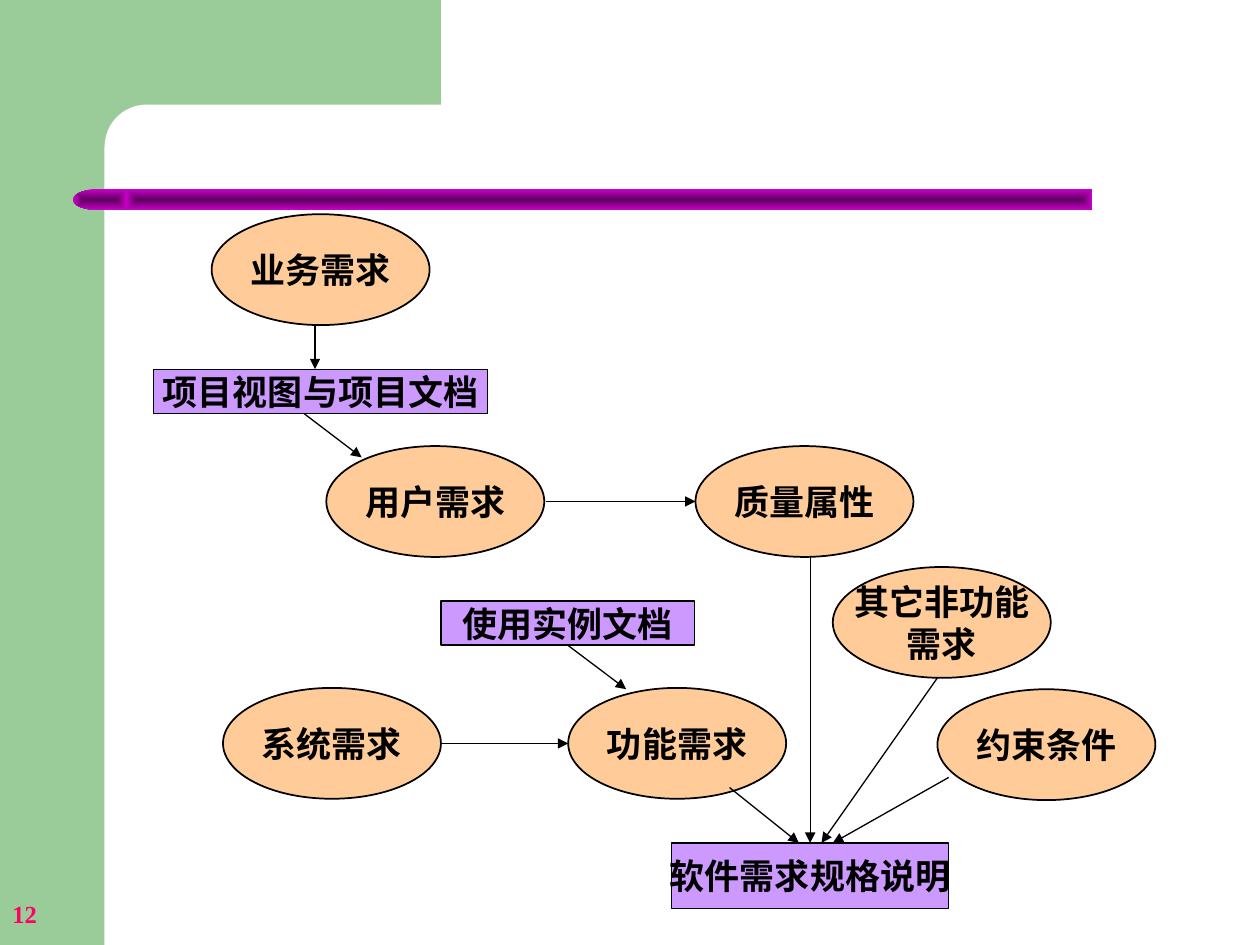
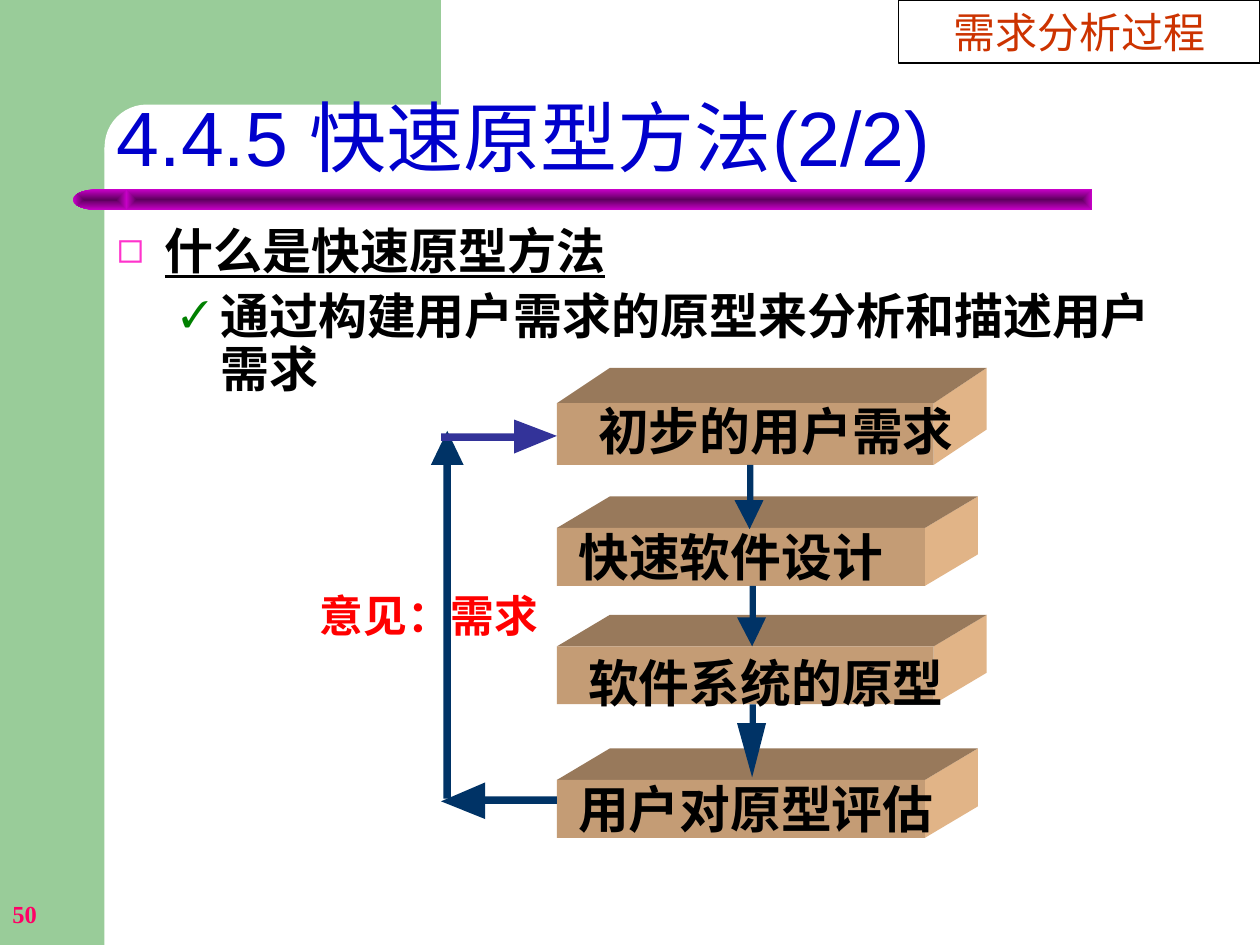
import pptx
import pptx.util
import pptx.dml.color
import pptx.enum.shapes
import pptx.enum.text
import pptx.oxml.ns
from lxml import etree

Inches = pptx.util.Inches
Pt = pptx.util.Pt
rgb = pptx.dml.color.RGBColor.from_string
qn = pptx.oxml.ns.qn
MSO = pptx.enum.shapes.MSO_SHAPE
ANCHOR = pptx.enum.text.MSO_ANCHOR
FIT = pptx.enum.text.MSO_AUTO_SIZE.SHAPE_TO_FIT_TEXT
CENTER = pptx.enum.text.PP_ALIGN.CENTER
STRAIGHT = pptx.enum.shapes.MSO_CONNECTOR.STRAIGHT

GREEN, WHITE, BLACK, NAVY, INDIGO = "99CC99", "FFFFFF", "000000", "003366", "333399"
CJK = "Noto Sans CJK SC"
NUMBER = {"name": "Times New Roman", "size": Pt(14), "bold": True, "color": "FF0066"}
TITLE = {"name": "Arial", "size": Pt(44), "color": "0000CC"}
BODY = {"name": "Times New Roman", "size": Pt(28), "bold": True, "color": BLACK}
TAG = {"name": "Times New Roman", "size": Pt(24), "color": "CC3300"}
NODE = {"name": "Arial", "size": Pt(20), "bold": True, "color": BLACK}
STEP = {"name": CJK, "size": Pt(29), "bold": True, "color": BLACK}
FEEDBACK = {"name": CJK, "size": Pt(25), "bold": True, "color": "FF0000"}


def add(s, kind, geom, fill=None, line=None):
    if kind == "text":
        return s.shapes.add_textbox(*map(Inches, geom))
    if kind == "polygon":
        points = [(Inches(x), Inches(y)) for x, y in geom]
        builder = s.shapes.build_freeform(*points[0], scale=1.0)
        builder.add_line_segments(points[1:], close=True)
        sp = builder.convert_to_shape()
    else:
        sp = s.shapes.add_shape(kind, *map(Inches, geom))
    sp.shadow.inherit = False
    if fill:
        sp.fill.solid()
        sp.fill.fore_color.rgb = rgb(fill)
    else:
        sp.fill.background()
    if line:
        sp.line.color.rgb = rgb(BLACK)
        sp.line.width = Pt(line)
    else:
        sp.line.fill.background()
    return sp


def write(sp, lines, fmt, align=None, anchor=ANCHOR.TOP, wrap=False, inset=None):
    tf = sp.text_frame
    tf.word_wrap = wrap
    tf.vertical_anchor = anchor
    if inset is not None:
        tf.margin_left = tf.margin_right = tf.margin_top = tf.margin_bottom = inset
    for i, line in enumerate(lines):
        p = tf.add_paragraph() if i else tf.paragraphs[0]
        p.alignment = align
        r = p.add_run()
        r.text = line
        for key, value in fmt.items():
            if key == "color":
                r.font.color.rgb = rgb(value)
            else:
                setattr(r.font, key, value)
        etree.SubElement(r.font._element, qn("a:ea")).set("typeface", CJK)
    return tf


prs = pptx.Presentation()
prs.slide_width, prs.slide_height = Inches(10), Inches(7.5)
slides = []
for number in ("12", "50"):
    s = prs.slides.add_slide(prs.slide_layouts[6])
    slides.append(s)
    add(s, MSO.RECTANGLE, (0, 0, 0.83, 7.5), GREEN)
    add(s, MSO.RECTANGLE, (0.75, 0, 2.75, 1.17), GREEN)
    sp = add(s, MSO.ROUNDED_RECTANGLE, (0.83, 0.83, 5.58, 0.67), WHITE)
    sp.adjustments[0] = 0.5
    bar = add(s, MSO.RECTANGLE, (1, 1.5, 7.67, 0.17), WHITE)
    cap = add(s, MSO.FLOWCHART_DELAY, (0.58, 1.5, 0.43, 0.17), WHITE)
    cap._element.spPr.xfrm.set("flipH", "1")
    for sp in (bar, cap):
        sp.fill.gradient()
        for stop, color in zip(sp.fill.gradient_stops, ("5E005E", "CC00CC")):
            stop.color.rgb = rgb(color)
        grad = sp._element.spPr.find(qn("a:gradFill"))
        lin = grad.find(qn("a:lin"))
        path = etree.Element(qn("a:path"), {"path": "rect"})
        etree.SubElement(path, qn("a:fillToRect"), dict.fromkeys("ltrb", "50000"))
        grad.replace(lin, path)
    write(add(s, "text", (0, 7, 2.08, 0.5)), [number], NUMBER, anchor=ANCHOR.MIDDLE)

s = slides[0]
for x, y, lines in [
    (1.68, 1.7, ["业务需求"]),
    (2.59, 3.54, ["用户需求"]),
    (5.52, 3.54, ["质量属性"]),
    (6.61, 4.5, ["其它非功能", "需求"]),
    (7.44, 5.47, ["约束条件"]),
    (1.77, 5.46, ["系统需求"]),
    (4.51, 5.46, ["功能需求"]),
]:
    sp = add(s, MSO.OVAL, (x, y, 1.73, 0.88), "FFCC99", 1)
    write(sp, lines, NODE, CENTER, ANCHOR.MIDDLE)

documents = {}
for name, box in [
    ("软件需求规格说明", (5.33, 6.69, 2.2, 0.52)),
    ("使用实例文档", (3.5, 4.77, 2.01, 0.35)),
    ("项目视图与项目文档", (1.22, 2.93, 2.65, 0.35)),
]:
    documents[name] = add(s, MSO.RECTANGLE, box, "CC99FF", 0.75)
    write(documents[name], [name], NODE, CENTER, ANCHOR.MIDDLE)

for x1, y1, x2, y2, source, target in [
    (2.5, 2.58, 2.5, 2.93, None, None),
    (2.41, 3.28, 2.87, 3.63, None, None),
    (4.51, 5.12, 4.97, 5.47, "使用实例文档", None),
    (5.79, 6.25, 6.34, 6.69, None, None),
    (3.5, 5.9, 4.51, 5.9, None, None),
    (4.33, 3.98, 5.52, 3.98, None, None),
    (6.43, 4.42, 6.43, 6.69, None, "软件需求规格说明"),
    (7.44, 5.38, 6.52, 6.69, None, None),
    (7.53, 6.17, 6.61, 6.69, None, None),
]:
    c = s.shapes.add_connector(STRAIGHT, *map(Inches, (x1, y1, x2, y2)))
    c.line.color.rgb = rgb(BLACK)
    c.line.width = Pt(0.75)
    etree.SubElement(c.line._get_or_add_ln(), qn("a:tailEnd")).set("type", "triangle")
    etree.SubElement(c._element.spPr, qn("a:effectLst"))
    if source:
        c.begin_connect(documents[source], 2)
    if target:
        c.end_connect(documents[target], 0)

s = slides[1]
tf = write(add(s, "text", (0.83, 0.67, 8.75, 0.83)), ["4.4.5 快速原型方法(2/2)"],
           TITLE, anchor=ANCHOR.BOTTOM, wrap=True)
tf.paragraphs[0].line_spacing = 0.9
tf = write(add(s, "text", (0.83, 1.75, 8.5, 1.57)),
           ["什么是快速原型方法", "通过构建用户需求的原型来分析和描述用户需求"], BODY, wrap=True)
bullets = [("◻", "FF33CC", "90000", 0.38, 0.38), ("✓", "008000", "75000", 0.82, 0.31)]
for level, (p, (char, color, size, left, hang)) in enumerate(zip(tf.paragraphs, bullets)):
    pPr = p._p.get_or_add_pPr()
    pPr.set("marL", str(Inches(left)))
    pPr.set("indent", str(-Inches(hang)))
    clr = etree.SubElement(pPr, qn("a:buClr"))
    etree.SubElement(clr, qn("a:srgbClr")).set("val", color)
    etree.SubElement(pPr, qn("a:buSzPct")).set("val", size)
    etree.SubElement(pPr, qn("a:buFont")).set("typeface", "Times New Roman")
    etree.SubElement(pPr, qn("a:buChar")).set("char", char)
    p.level = level
    p.line_spacing = 0.9
    p.space_before = Pt(7 * level)
tf.paragraphs[0].runs[0].font.underline = True

left = 4.42
for name, top, right, depth, height, text_box in [
    ("初步的用户需求", 2.92, 7.41, 0.28, 0.49, (4.66, 3.17, 3, 0.48)),
    ("快速软件设计", 3.94, 7.34, 0.25, 0.46, (4.5, 4.17, 2.6, 0.48)),
    ("软件系统的原型", 4.88, 7.41, 0.25, 0.46, (4.58, 5.17, 3, 0.48)),
    ("用户对原型评估", 5.94, 7.34, 0.25, 0.46, (4.5, 6.17, 3, 0.48)),
]:
    front, bottom, back = top + depth, top + depth + height, right + 0.42
    add(s, "polygon", [(right, bottom), (right, front), (back, top), (back, top + height)], "E1B487")
    add(s, "polygon", [(right, front), (left, front), (left + 0.42, top), (back, top)], "98795B")
    add(s, MSO.RECTANGLE, (left, front, right - left, height), "C49C75")
    tf = write(add(s, "text", text_box), [name], STEP, CENTER, inset=0)
    tf.auto_size = FIT

for shaft, head, color in [
    ((5.93, 3.69, 0.05, 0.28), [(5.83, 3.97), (5.95, 4.2), (6.06, 3.97)], NAVY),
    ((5.95, 4.65, 0.05, 0.26), [(5.85, 4.9), (5.97, 5.13), (6.08, 4.9)], NAVY),
    ((5.95, 5.59, 0.05, 0.16), [(5.85, 5.74), (5.97, 6.17), (6.08, 5.74)], NAVY),
    ((3.84, 6.32, 0.58, 0.06), [(3.85, 6.21), (3.5, 6.36), (3.85, 6.5)], NAVY),
    ((3.52, 3.68, 0.06, 2.66), [(3.68, 3.69), (3.55, 3.42), (3.42, 3.69)], NAVY),
    ((3.5, 3.44, 0.58, 0.06), [(4.08, 3.6), (4.42, 3.46), (4.08, 3.33)], INDIGO),
]:
    add(s, MSO.RECTANGLE, shaft, color)
    add(s, "polygon", head, color)

write(add(s, "text", (2.42, 4.67, 1.97, 0.42)), ["意见：需求"], FEEDBACK, CENTER, wrap=True, inset=0)
sp = add(s, MSO.RECTANGLE, (7.13, 0, 2.87, 0.5), line=0.75)
write(sp, ["需求分析过程"], TAG, CENTER, wrap=True)

prs.save("out.pptx")
